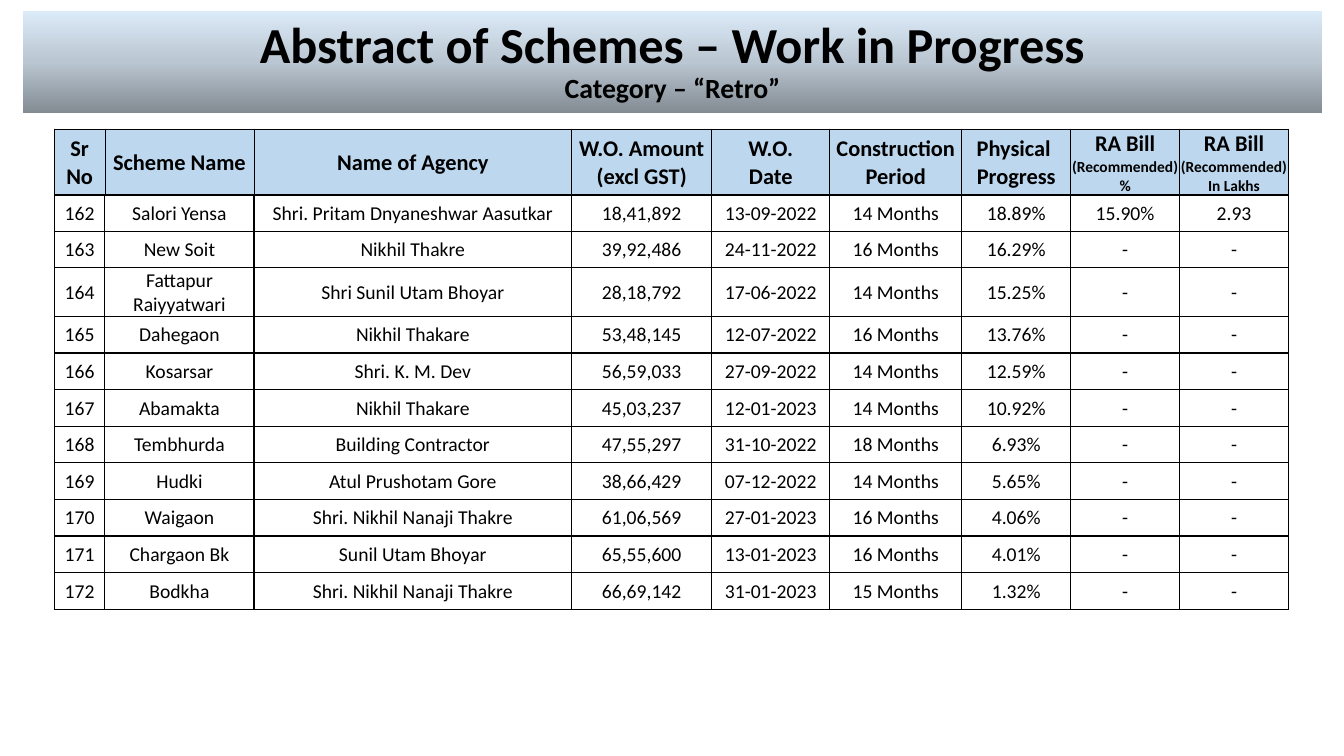
from copy import deepcopy

from lxml.etree import SubElement
from pptx import Presentation
from pptx.dml.color import RGBColor
from pptx.enum.shapes import MSO_SHAPE as Preset
from pptx.enum.text import MSO_ANCHOR as Anchor, PP_ALIGN as Align
from pptx.oxml.ns import qn
from pptx.util import Inches, Pt

BLACK = RGBColor(0x00, 0x00, 0x00)
HEADER_BLUE = RGBColor(0xBD, 0xD7, 0xEE)
BANNER_STOPS = [
    (0, RGBColor(0x83, 0x8B, 0x93)),
    (0.5, RGBColor(0xBA, 0xC6, 0xD1)),
    (1, RGBColor(0xDC, 0xEB, 0xF8)),
]
FONT = "Calibri"
COLUMN_WIDTHS = [0.5, 1.48, 3.15, 1.39, 1.17, 1.31, 1.08, 1.08, 1.08]
HEADER_SIZE, NOTE_SIZE, BODY_SIZE = 16, 11, 14
TALL_ROW, TALL_HEIGHT = 2, 0.48

HEADERS = [
    [("Sr No", HEADER_SIZE)],
    [("Scheme Name", HEADER_SIZE)],
    [("Name of Agency", HEADER_SIZE)],
    [("W.O. Amount\n(excl GST)", HEADER_SIZE)],
    [("W.O.\nDate", HEADER_SIZE)],
    [("Construction\nPeriod", HEADER_SIZE)],
    [("Physical ", HEADER_SIZE), ("Progress", HEADER_SIZE)],
    [("RA Bill", HEADER_SIZE), ("(Recommended)", NOTE_SIZE), ("%", NOTE_SIZE)],
    [("RA Bill", HEADER_SIZE), ("(Recommended)", NOTE_SIZE), ("In Lakhs", NOTE_SIZE)],
]
SCHEMES = [
    ("162", "Salori Yensa", "Shri. Pritam Dnyaneshwar Aasutkar", "18,41,892", "13-09-2022", "14 Months", "18.89%", "15.90%", "2.93"),
    ("163", "New Soit", "Nikhil Thakre", "39,92,486", "24-11-2022", "16 Months", "16.29%", "-", "-"),
    ("164", "Fattapur Raiyyatwari", "Shri Sunil Utam Bhoyar", "28,18,792", "17-06-2022", "14 Months", "15.25%", "-", "-"),
    ("165", "Dahegaon", "Nikhil Thakare", "53,48,145", "12-07-2022", "16 Months", "13.76%", "-", "-"),
    ("166", "Kosarsar", "Shri. K. M. Dev", "56,59,033", "27-09-2022", "14 Months", "12.59%", "-", "-"),
    ("167", "Abamakta", "Nikhil Thakare", "45,03,237", "12-01-2023", "14 Months", "10.92%", "-", "-"),
    ("168", "Tembhurda", "Building Contractor", "47,55,297", "31-10-2022", "18 Months", "6.93%", "-", "-"),
    ("169", "Hudki", "Atul Prushotam Gore", "38,66,429", "07-12-2022", "14 Months", "5.65%", "-", "-"),
    ("170", "Waigaon", "Shri. Nikhil Nanaji Thakre", "61,06,569", "27-01-2023", "16 Months", "4.06%", "-", "-"),
    ("171", "Chargaon Bk", "Sunil Utam Bhoyar", "65,55,600", "13-01-2023", "16 Months", "4.01%", "-", "-"),
    ("172", "Bodkha", "Shri. Nikhil Nanaji Thakre", "66,69,142", "31-01-2023", "15 Months", "1.32%", "-", "-"),
]


def add_text(paragraph, text, size, bold):
    paragraph.alignment = Align.CENTER
    for index, line in enumerate(text.split("\n")):
        if index:
            paragraph.add_line_break()
        run = paragraph.add_run()
        run.text = line
        font = run.font
        font.name, font.size, font.bold = FONT, Pt(size), bold
        font.color.rgb = BLACK


def add_borders(cell, widths):
    properties = cell._tc.get_or_add_tcPr()
    for side, width in zip("LRTB", widths):
        line = SubElement(properties, qn(f"a:ln{side}"), w=str(Pt(width)))
        fill = SubElement(line, qn("a:solidFill"))
        SubElement(fill, qn("a:srgbClr"), val=str(BLACK))


def fill_cell(cell, paragraphs, bold, border_widths, color=None):
    cell.vertical_anchor = Anchor.MIDDLE
    cell.margin_left = cell.margin_right = cell.margin_top = Inches(0.01)
    cell.margin_bottom = 0
    add_borders(cell, border_widths)
    if color is None:
        cell.fill.background()
    else:
        cell.fill.solid()
        cell.fill.fore_color.rgb = color
    frame = cell.text_frame
    for index, (text, size) in enumerate(paragraphs):
        paragraph = frame.add_paragraph() if index else frame.paragraphs[0]
        add_text(paragraph, text, size, bold)


def add_grid(slide, left, top, width, row_heights):
    shape = slide.shapes.add_table(
        len(row_heights), len(COLUMN_WIDTHS),
        Inches(left), Inches(top), Inches(width), Inches(sum(row_heights)))
    table = shape.table
    table.first_row = table.horz_banding = False
    scale = width / sum(COLUMN_WIDTHS)
    for column, column_width in zip(table.columns, COLUMN_WIDTHS):
        column.width = Inches(column_width * scale)
    for row, height in zip(table.rows, row_heights):
        row.height = Inches(height)
    return table


def add_banner(slide, left, top, width, height):
    banner = slide.shapes.add_shape(
        Preset.RECTANGLE, Inches(left), Inches(top), Inches(width), Inches(height))
    banner.shadow.inherit = False
    banner.line.fill.background()
    banner.fill.gradient()
    banner.fill.gradient_angle = 90
    stop_list = banner._element.spPr.find(qn("a:gradFill")).find(qn("a:gsLst"))
    stop_list.append(deepcopy(stop_list[0]))
    for stop, (position, color) in zip(banner.fill.gradient_stops, BANNER_STOPS):
        stop.position = position
        stop.color.rgb = color
    frame = banner.text_frame
    frame.word_wrap = True
    frame.vertical_anchor = Anchor.MIDDLE
    paragraph = frame.paragraphs[0]
    paragraph.line_spacing = 0.9
    add_text(paragraph, "Abstract of Schemes – Work in Progress", 36, True)
    paragraph.add_line_break()
    add_text(paragraph, "Category – “Retro”", 19.8, True)


def add_header(slide, left, top, width, height):
    table = add_grid(slide, left, top, width, [height])
    for column, paragraphs in enumerate(HEADERS):
        fill_cell(table.cell(0, column), paragraphs, True, (0.5, 0.5, 0.5, 1), HEADER_BLUE)


def add_schemes(slide, left, top, width, height):
    row_heights = [(height - TALL_HEIGHT) / (len(SCHEMES) - 1)] * len(SCHEMES)
    row_heights[TALL_ROW] = TALL_HEIGHT
    table = add_grid(slide, left, top, width, row_heights)
    for row, scheme in enumerate(SCHEMES):
        for column, value in enumerate(scheme):
            fill_cell(table.cell(row, column), [(value, BODY_SIZE)], False, (1, 1, 1, 1))


def main():
    presentation = Presentation()
    presentation.slide_width = Inches(13.33)
    presentation.slide_height = Inches(7.5)
    slide = presentation.slides.add_slide(presentation.slide_layouts[6])
    add_banner(slide, 0.23, 0.11, 12.88, 1.01)
    add_header(slide, 0.54, 1.28, 12.24, 0.65)
    add_schemes(slide, 0.54, 1.93, 12.24, 4.11)
    presentation.save("out.pptx")


if __name__ == "__main__":
    main()
